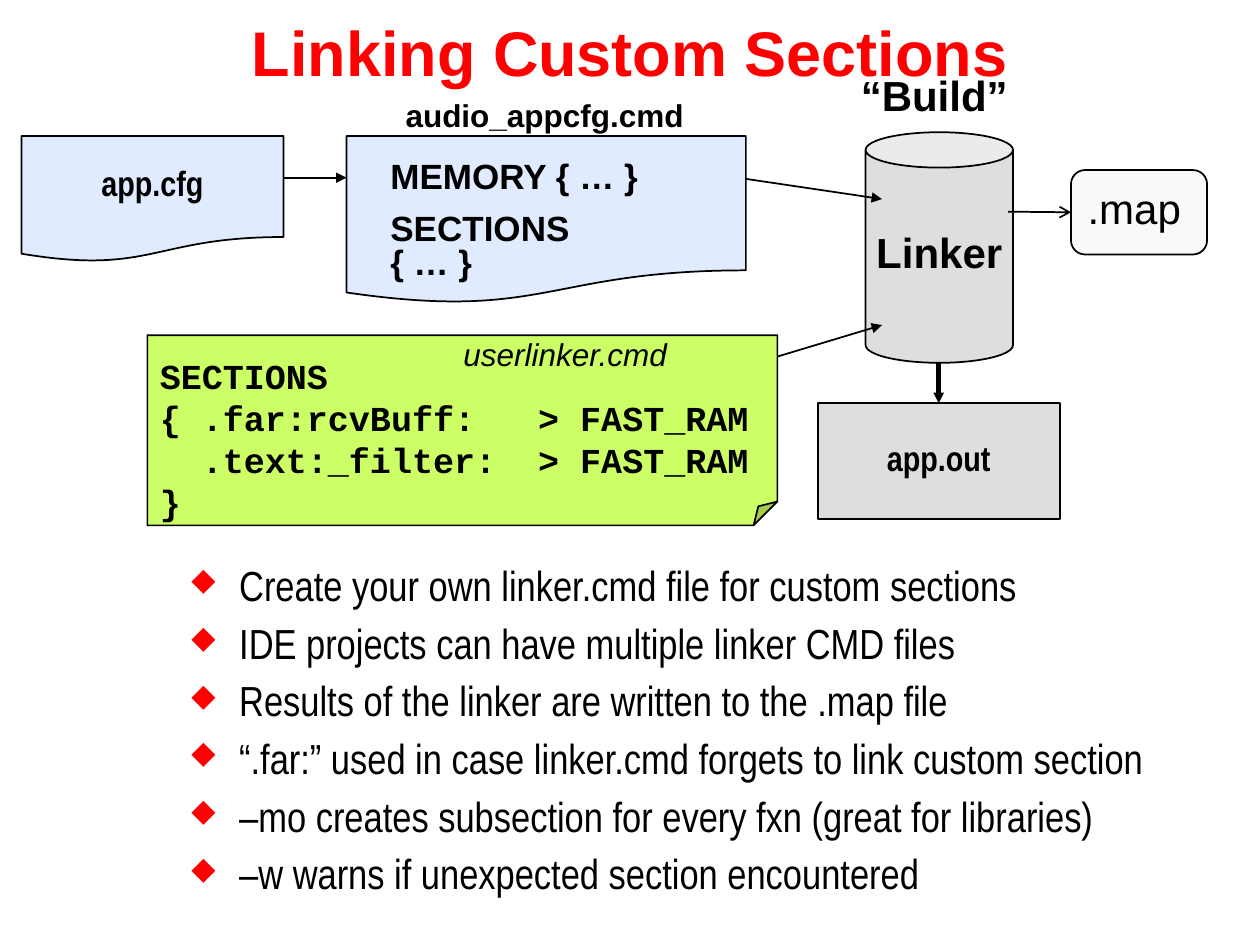
from lxml import etree
from pptx import Presentation
from pptx.dml.color import RGBColor
from pptx.enum.shapes import MSO_CONNECTOR, MSO_SHAPE
from pptx.enum.text import MSO_ANCHOR, PP_ALIGN
from pptx.oxml.ns import qn
from pptx.util import Inches, Pt

BLACK = RGBColor(0, 0, 0)
RED = RGBColor(255, 0, 0)
BLUE = RGBColor(0xE0, 0xEB, 0xFF)
GRAY = RGBColor(0xDE, 0xDE, 0xDE)
LIME = RGBColor(0xCC, 0xFF, 0x66)
PALE = RGBColor(0xF9, 0xF9, 0xF9)
LEFT, CENTER = PP_ALIGN.LEFT, PP_ALIGN.CENTER
TOP, MIDDLE = MSO_ANCHOR.TOP, MSO_ANCHOR.MIDDLE
DOC, CAN = MSO_SHAPE.FLOWCHART_DOCUMENT, MSO_SHAPE.CAN
PROC, NOTE = MSO_SHAPE.FLOWCHART_PROCESS, MSO_SHAPE.FOLDED_CORNER
ROUND = MSO_SHAPE.ROUNDED_RECTANGLE
STRAIGHT = MSO_CONNECTOR.STRAIGHT

HEAD = {"name": "Arial", "size": Pt(24), "bold": True}
FILE = {"name": "Arial Narrow", "size": Pt(20), "bold": True}
PART = {"name": "Arial", "size": Pt(20), "bold": True}
LABEL = {"name": "Arial", "size": Pt(18), "bold": True}
ITALIC = {"name": "Arial", "size": Pt(18), "italic": True}
PLAIN = {"name": "Arial", "size": Pt(24)}
CODE = {"name": "Courier New", "size": Pt(20), "bold": True}
BODY = {"name": "Arial Narrow", "size": Pt(24)}
TITLE = {"name": "Arial", "size": Pt(36), "bold": True}

CODE_LINES = [
    "SECTIONS",
    "{ .far:rcvBuff:   > FAST_RAM",
    "  .text:_filter:  > FAST_RAM",
    "}",
]
POINTS = [
    "Create your own linker.cmd file for custom sections",
    "IDE projects can have multiple linker CMD files",
    "Results of the linker are written to the .map file",
    "“.far:” used in case linker.cmd forgets to link custom section",
    "–mo creates subsection for every fxn (great for libraries)",
    "–w warns if unexpected section encountered",
]


def add_bullet(para):
    """Give a paragraph a red diamond and a hanging indent."""
    props = para._p.get_or_add_pPr()
    props.set("marL", str(Inches(0.38)))
    props.set("indent", str(-Inches(0.38)))
    color = etree.SubElement(props, qn("a:buClr"))
    etree.SubElement(color, qn("a:srgbClr"), val=str(RED))
    etree.SubElement(props, qn("a:buSzPct"), val="75000")
    etree.SubElement(props, qn("a:buChar"), char="◆")


def write(shape, lines, style, align=LEFT, anchor=TOP, wrap=False,
          space=0.8, gap=0, color=BLACK, bullet=False):
    """Fill a shape with one formatted paragraph per line."""
    frame = shape.text_frame
    frame.word_wrap = wrap
    frame.vertical_anchor = anchor
    for i, line in enumerate(lines):
        para = frame.paragraphs[0] if i == 0 else frame.add_paragraph()
        if bullet:
            add_bullet(para)
        para.alignment = align
        para.line_spacing = space
        para.space_before = Pt(gap if i else 0)
        run = para.add_run()
        run.text = line
        for key, value in style.items():
            setattr(run.font, key, value)
        run.font.color.rgb = color


def add_block(slide, kind, box, fill, adjust=None):
    """Add an outlined preset shape."""
    shape = slide.shapes.add_shape(kind, *map(Inches, box))
    shape.shadow.inherit = False
    shape.fill.solid()
    shape.fill.fore_color.rgb = fill
    shape.line.color.rgb = BLACK
    shape.line.width = Pt(1)
    if adjust is not None:
        guides = shape._element.spPr.find(qn("a:prstGeom")).get_or_add_avLst()
        for guide in list(guides):
            guides.remove(guide)
        etree.SubElement(guides, qn("a:gd"), name="adj",
                         fmla=f"val {round(adjust * 100000)}")
    return shape


def add_text(slide, box, lines, style, **format):
    """Add a text box."""
    shape = slide.shapes.add_textbox(*map(Inches, box))
    write(shape, lines, style, **format)


def add_arrow(slide, start, end, width=1, tip="triangle", size="med"):
    """Add a straight black arrow."""
    line = slide.shapes.add_connector(STRAIGHT, *map(Inches, start + end))
    line.line.color.rgb = BLACK
    line.line.width = Pt(width)
    etree.SubElement(line.line._get_or_add_ln(), qn("a:tailEnd"),
                     type=tip, w=size, len=size)
    etree.SubElement(line._element.spPr, qn("a:effectLst"))
    return line


def add_title(slide, text):
    """Place and format the title."""
    title = slide.shapes.title
    title.left, title.top = Inches(0), Inches(0)
    title.width, title.height = Inches(10), Inches(0.81)
    write(title, [text], TITLE, CENTER, MIDDLE, True, 1, color=RED)


def add_flow(slide):
    """Draw the files, the linker and the arrows."""
    mid = {"align": CENTER, "anchor": MIDDLE}
    source = add_block(slide, DOC, (0.17, 1.08, 2.08, 1), BLUE)
    write(source, ["app.cfg"], FILE, **mid)
    linker = add_block(slide, CAN, (6.87, 1.05, 1.17, 1.83), GRAY, 0.24)
    write(linker, ["Linker"], HEAD, **mid)
    add_block(slide, DOC, (2.75, 1.08, 3.17, 1.33), BLUE)
    output = add_block(slide, PROC, (6.49, 3.2, 1.92, 0.92), GRAY)
    write(output, ["app.out"], FILE, **mid)
    down = add_arrow(slide, (7.45, 2.88), (7.45, 3.2), 3, size="sm")
    down.end_connect(output, 0)

    note = add_block(slide, NOTE, (1.17, 2.66, 5, 1.51), LIME, 0.125)
    note.text_frame.margin_top = Inches(0.15)
    write(note, CODE_LINES, CODE, wrap=True, space=1)

    add_arrow(slide, (2.25, 1.41), (2.75, 1.41))
    add_arrow(slide, (5.92, 1.42), (7, 1.58))
    add_arrow(slide, (6.17, 2.83), (7, 2.58))

    report = add_block(slide, ROUND, (8.5, 1.35, 1.08, 0.67), PALE)
    write(report, [".map"], PLAIN, anchor=MIDDLE, wrap=True)
    across = add_arrow(slide, (8, 1.68), (8.5, 1.68), tip="arrow")
    across.end_connect(report, 1)


def main():
    """Build the slide and save it."""
    deck = Presentation()
    deck.slide_width, deck.slide_height = Inches(10), Inches(7.5)
    slide = deck.slides.add_slide(deck.slide_layouts[5])
    add_title(slide, "Linking Custom Sections")
    add_flow(slide)
    add_text(slide, (6.73, 0.58, 1.37, 0.42), ["“Build”"], HEAD, align=CENTER)
    add_text(slide, (3, 1.24, 2.3, 0.8), ["MEMORY { … }", "SECTIONS { … }"],
             PART, wrap=True, gap=10.7)
    add_text(slide, (3.12, 0.77, 2.41, 0.34), ["audio_appcfg.cmd"], LABEL)
    add_text(slide, (3.58, 2.67, 1.83, 0.34), ["userlinker.cmd"], ITALIC)
    add_text(slide, (1.42, 4.5, 7.92, 2.81), POINTS, BODY, wrap=True,
             space=0.7, gap=12.8, bullet=True)
    deck.save("out.pptx")


if __name__ == "__main__":
    main()
